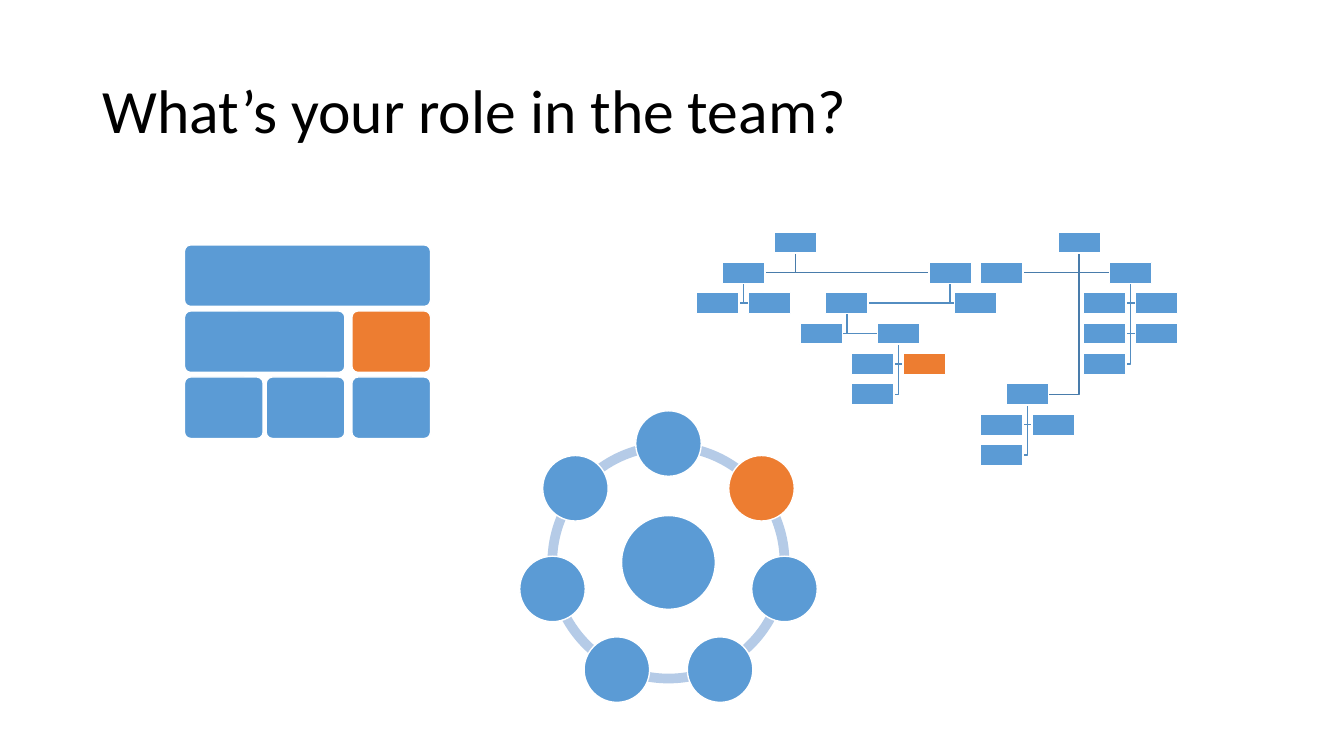
import math

from pptx import Presentation
from pptx.dml.color import RGBColor
from pptx.enum import shapes, text
from pptx.util import Inches, Pt

BLUE, ORANGE, WHITE, BLACK = "5B9BD5", "ED7D31", "FFFFFF", "000000"
ARC_BLUE, TOP_LINK, LOWER_LINK = "B5CBE7", "497CAB", "538DC1"

# Organisation chart: (column, row) of each manager and of the people reporting to them
REPORTS = {
    (3, 0): [(1, 1), (9, 1)],
    (1, 1): [(0, 2), (2, 2)],
    (9, 1): [(5, 2), (10, 2)],
    (5, 2): [(4, 3), (7, 3)],
    (7, 3): [(6, 4), (8, 4), (6, 5)],
    (14, 0): [(11, 1), (16, 1), (12, 5)],
    (16, 1): [(15, 2), (17, 2), (15, 3), (17, 3), (15, 4)],
    (12, 5): [(11, 6), (13, 6), (11, 7)],
}
CHART_ROLE = (8, 4)

# Blocks: (row, first column, last column)
BLOCKS = [(0, 0, 2), (1, 0, 1), (2, 0, 0), (2, 1, 1), (1, 2, 2), (2, 2, 2)]
BLOCK_ROLE = (1, 2, 2)


def color(hex_string):
    return RGBColor.from_string(hex_string)


def add_part(slide, kind, left, top, width, height, fill=BLUE, line=WHITE):
    shape = slide.shapes.add_shape(
        kind, Inches(left), Inches(top), Inches(width), Inches(height))
    shape.shadow.inherit = False
    shape.fill.solid()
    shape.fill.fore_color.rgb = color(fill)
    if line:
        shape.line.color.rgb = color(line)
        shape.line.width = Pt(1)
    else:
        shape.line.fill.background()
    return shape


def add_elbow(slide, points, line):
    start, *rest = [(Inches(x), Inches(y)) for x, y in points]
    builder = slide.shapes.build_freeform(*start)
    builder.add_line_segments(rest, close=False)
    shape = builder.convert_to_shape()
    shape.shadow.inherit = False
    shape.fill.background()
    shape.line.color.rgb = color(line)
    shape.line.width = Pt(1)


def add_title(slide, left, top, width, height):
    box = slide.shapes.add_textbox(
        Inches(left), Inches(top), Inches(width), Inches(height))
    frame = box.text_frame
    frame.word_wrap = True
    frame.vertical_anchor = text.MSO_ANCHOR.MIDDLE
    frame.text = "What’s your role in the team?"
    paragraph = frame.paragraphs[0]
    paragraph.line_spacing = 0.9
    font = paragraph.runs[0].font
    font.name = "Calibri"
    font.size = Pt(44)
    font.color.rgb = color(BLACK)


def add_organisation_chart(slide, left, top, width, height):
    card_width, card_height = 0.42, 0.21
    column_step = (width - card_width) / 17
    row_step = (height - card_height) / 7

    def corner(place):
        column, row = place
        return left + column * column_step, top + row * row_step

    # Links lie behind the cards
    for manager, people in REPORTS.items():
        manager_left, manager_top = corner(manager)
        center = manager_left + card_width / 2
        link = TOP_LINK if manager[1] == 0 else LOWER_LINK
        for person in people:
            person_left, person_top = corner(person)
            middle = person_top + card_height / 2
            edge = person_left if person_left > center else person_left + card_width
            add_elbow(slide, [(center, manager_top + card_height),
                              (center, middle), (edge, middle)], link)

    # Cards
    cards = set(REPORTS).union(*REPORTS.values())
    for place in sorted(cards):
        add_part(slide, shapes.MSO_SHAPE.RECTANGLE, *corner(place),
                 card_width, card_height, ORANGE if place == CHART_ROLE else BLUE)


def add_blocks(slide, left, top, width, height):
    block_width, block_height = 0.78, 0.61
    columns = [0, 0.81, width - block_width]
    row_step = (height - block_height) / 2
    for block in BLOCKS:
        row, first, last = block
        shape = add_part(
            slide, shapes.MSO_SHAPE.ROUNDED_RECTANGLE,
            left + columns[first], top + row * row_step,
            columns[last] - columns[first] + block_width, block_height,
            ORANGE if block == BLOCK_ROLE else BLUE)
        shape.adjustments[0] = 0.1


def add_ring(slide, left, top, size):
    members, role = 7, 1
    center_x, center_y = left + size / 2, top + size / 2
    orbit, member_size, hub_size = 1.18, 0.65, 0.93

    # Arc angles are in units of 5/3 degree, with 216 to a full turn
    full_turn = 216
    for index in range(members):
        start = 162 + index * full_turn / members
        arc = add_part(slide, shapes.MSO_SHAPE.BLOCK_ARC,
                       left, top, size, size, ARC_BLUE, None)
        arc.adjustments[0] = start % full_turn
        arc.adjustments[1] = (start + full_turn / members) % full_turn
        arc.adjustments[2] = 0.04

    # Hub and members
    def add_disc(x, y, diameter, fill):
        add_part(slide, shapes.MSO_SHAPE.OVAL, x - diameter / 2,
                 y - diameter / 2, diameter, diameter, fill)

    add_disc(center_x, center_y, hub_size, BLUE)
    for index in range(members):
        angle = 2 * math.pi * index / members
        add_disc(center_x + orbit * math.sin(angle),
                 center_y - orbit * math.cos(angle),
                 member_size, ORANGE if index == role else BLUE)


def main():
    presentation = Presentation()
    presentation.slide_width = Inches(13.33)
    presentation.slide_height = Inches(7.5)
    slide = presentation.slides.add_slide(presentation.slide_layouts[6])
    add_title(slide, 0.92, 0.4, 11.5, 1.45)
    add_organisation_chart(slide, 6.91, 2.3, 4.77, 2.32)
    add_blocks(slide, 1.83, 2.43, 2.44, 1.92)
    add_ring(slide, 5.43, 4.38, 2.4)
    presentation.save("out.pptx")


if __name__ == "__main__":
    main()
